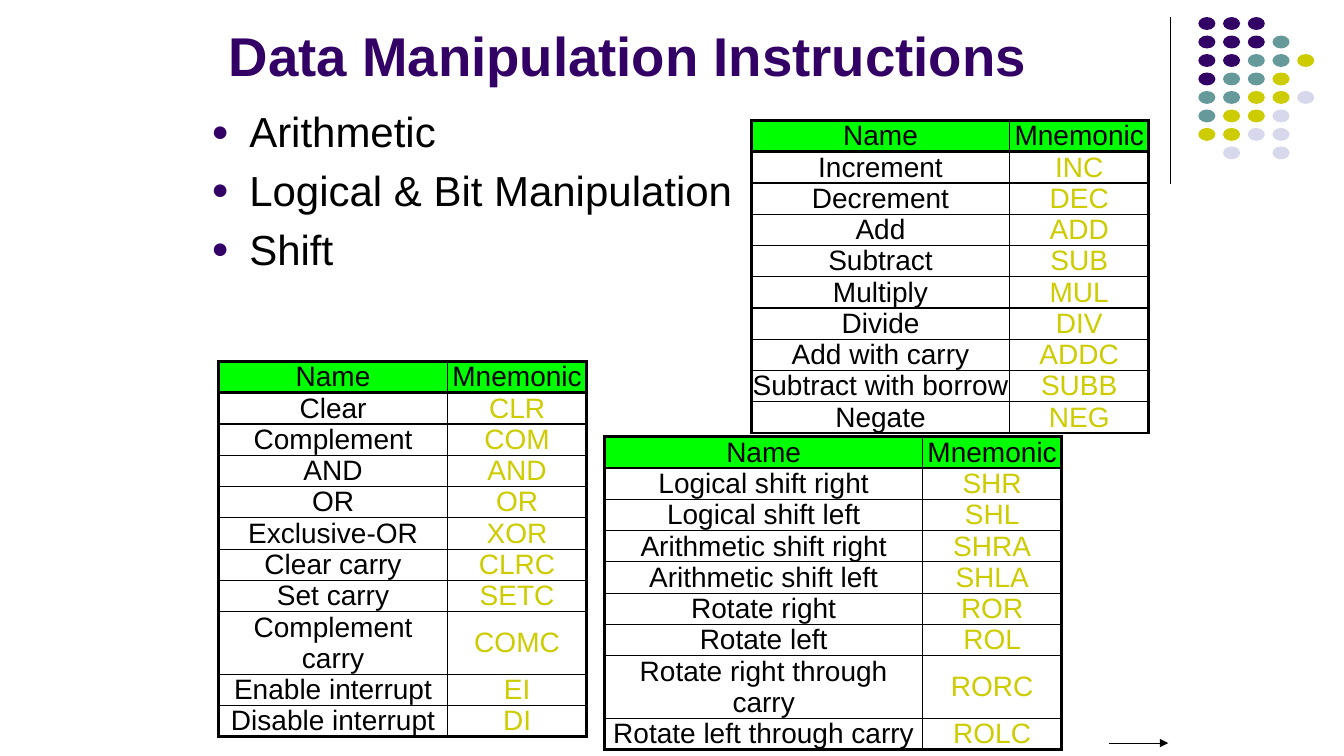
from lxml import etree
from pptx import Presentation
from pptx import util as u
from pptx.dml.color import RGBColor
from pptx.enum import shapes, text
from pptx.oxml.ns import qn

Pt = u.Pt
COLORS = {"purple": "330066", "teal": "669999", "olive": "CCCC00",
          "lilac": "D8D8EC", "green": "00FF00", "black": "000000"}
FONT = "Arial"


def add_run(p, words, size, color, bold=False):
    r = p.add_run()
    r.text = words
    r.font.name, r.font.size, r.font.bold = FONT, Pt(size), bold
    r.font.color.rgb = RGBColor.from_string(COLORS[color])


def add_line(x1, y1, x2, y2):
    line = s.shapes.add_connector(shapes.MSO_CONNECTOR.STRAIGHT,
                                  Pt(x1), Pt(y1), Pt(x2), Pt(y2))
    line.line.color.rgb = RGBColor.from_string(COLORS["black"])
    line.line.width = Pt(0.75)
    etree.SubElement(line._element.spPr, qn("a:effectLst"))
    return line


prs = Presentation()
prs.slide_width, prs.slide_height = Pt(960), Pt(540)
s = prs.slides.add_slide(prs.slide_layouts[5])

# Corner decoration: a rule and a grid of dots
add_line(835.9, 12.2, 835.9, 131.8)
DOT_ROWS = ["PPP", "PPPT", "PPTTO", "PTTO", "TTOOL", "TOOL", "OOLL", " L L"]
DOT_COLORS = {"P": "purple", "T": "teal", "O": "olive", "L": "lilac"}
for row, letters in enumerate(DOT_ROWS):
    for col, letter in enumerate(letters):
        if letter == " ":
            continue
        dot = s.shapes.add_shape(shapes.MSO_SHAPE.OVAL, Pt(856 + 17.65 * col),
                                 Pt(12.2 + 13.2 * row), Pt(12.2), Pt(9.2))
        dot.shadow.inherit = False
        dot.fill.solid()
        dot.fill.fore_color.rgb = RGBColor.from_string(COLORS[DOT_COLORS[letter]])
        dot.line.fill.background()

# Title
title = s.shapes.title
title.left, title.top, title.width, title.height = Pt(156.2), Pt(10), Pt(594), Pt(56.2)
tf = title.text_frame
tf.auto_size = text.MSO_AUTO_SIZE.NONE
tf.vertical_anchor = text.MSO_ANCHOR.BOTTOM
p = tf.paragraphs[0]
p.alignment = text.PP_ALIGN.LEFT
add_run(p, "Data Manipulation Instructions", 39, "purple", bold=True)

# Bulleted list
body = s.shapes.add_textbox(Pt(144), Pt(72), Pt(648), Pt(196))
tf = body.text_frame
tf.word_wrap = True
for i, topic in enumerate(["Arithmetic", "Logical & Bit Manipulation", "Shift"]):
    p = tf.add_paragraph() if i else tf.paragraphs[0]
    if i:
        p.space_before = Pt(6)
    pPr = p._p.get_or_add_pPr()
    pPr.set("marL", str(Pt(27)))
    pPr.set("indent", str(-Pt(27)))
    color = etree.SubElement(pPr, qn("a:buClr"))
    etree.SubElement(color, qn("a:srgbClr"), val=COLORS["purple"])
    etree.SubElement(pPr, qn("a:buSzPct"), val="70000")
    etree.SubElement(pPr, qn("a:buFont"), typeface=FONT)
    etree.SubElement(pPr, qn("a:buChar"), char="●")
    add_run(p, topic, 30, "black")

# Instruction tables: left, top, name column width, rows
ARITHMETIC = [("Increment", "INC"), ("Decrement", "DEC"), ("Add", "ADD"),
              ("Subtract", "SUB"), ("Multiply", "MUL"), ("Divide", "DIV"),
              ("Add with carry", "ADDC"), ("Subtract with borrow", "SUBB"),
              ("Negate", "NEG")]
LOGICAL = [("Clear", "CLR"), ("Complement", "COM"), ("AND", "AND"), ("OR", "OR"),
           ("Exclusive-OR", "XOR"), ("Clear carry", "CLRC"), ("Set carry", "SETC"),
           ("Complement carry", "COMC"), ("Enable interrupt", "EI"),
           ("Disable interrupt", "DI")]
SHIFT = [("Logical shift right", "SHR"), ("Logical shift left", "SHL"),
         ("Arithmetic shift right", "SHRA"), ("Arithmetic shift left", "SHLA"),
         ("Rotate right", "ROR"), ("Rotate left", "ROL"),
         ("Rotate right through carry", "RORC"),
         ("Rotate left through carry", "ROLC")]
TWO_LINE_NAMES = {"Complement carry", "Rotate right through carry"}
ROW_HEIGHT, MNEMONIC_WIDTH = 22.35, 99.4
THICK, THIN = 2.25, 1

for left, top, name_width, instructions in [(536.7, 86, 184.5, ARITHMETIC),
                                            (156.2, 258.2, 163.5, LOGICAL),
                                            (432, 312, 227, SHIFT)]:
    rows = [("Name", "Mnemonic")] + instructions
    last = len(rows) - 1
    heights = [ROW_HEIGHT * (2 if name in TWO_LINE_NAMES else 1) for name, _ in rows]
    table = s.shapes.add_table(len(rows), 2, Pt(left), Pt(top),
                               Pt(name_width + MNEMONIC_WIDTH), Pt(sum(heights))).table
    table.first_row = table.horz_banding = False
    table.columns[0].width, table.columns[1].width = Pt(name_width), Pt(MNEMONIC_WIDTH)
    for i, row in enumerate(rows):
        table.rows[i].height = Pt(heights[i])
        for j, words in enumerate(row):
            cell = table.cell(i, j)
            cell.margin_left = cell.margin_right = cell.margin_top = cell.margin_bottom = 0
            cell.vertical_anchor = text.MSO_ANCHOR.MIDDLE
            p = cell.text_frame.paragraphs[0]
            p.alignment = text.PP_ALIGN.CENTER
            p.line_spacing = Pt(22.3)
            add_run(p, words, 20, "olive" if i and j else "black")
            # Thick frame and header rule, thin inner lines
            borders = {"lnL": j == 0, "lnR": j == 1, "lnT": i < 2, "lnB": i in (0, last)}
            for side, is_thick in borders.items():
                ln = etree.SubElement(cell._tc.get_or_add_tcPr(), qn("a:" + side),
                                      w=str(Pt(THICK if is_thick else THIN)))
                fill = etree.SubElement(ln, qn("a:solidFill"))
                etree.SubElement(fill, qn("a:srgbClr"), val=COLORS["black"])
            if i == 0:
                cell.fill.solid()
                cell.fill.fore_color.rgb = RGBColor.from_string(COLORS["green"])
            else:
                cell.fill.background()

# Arrow at the bottom
arrow = add_line(792, 530.8, 834.5, 530.8)
etree.SubElement(arrow.line._get_or_add_ln(), qn("a:tailEnd"), type="triangle")

prs.save("out.pptx")
